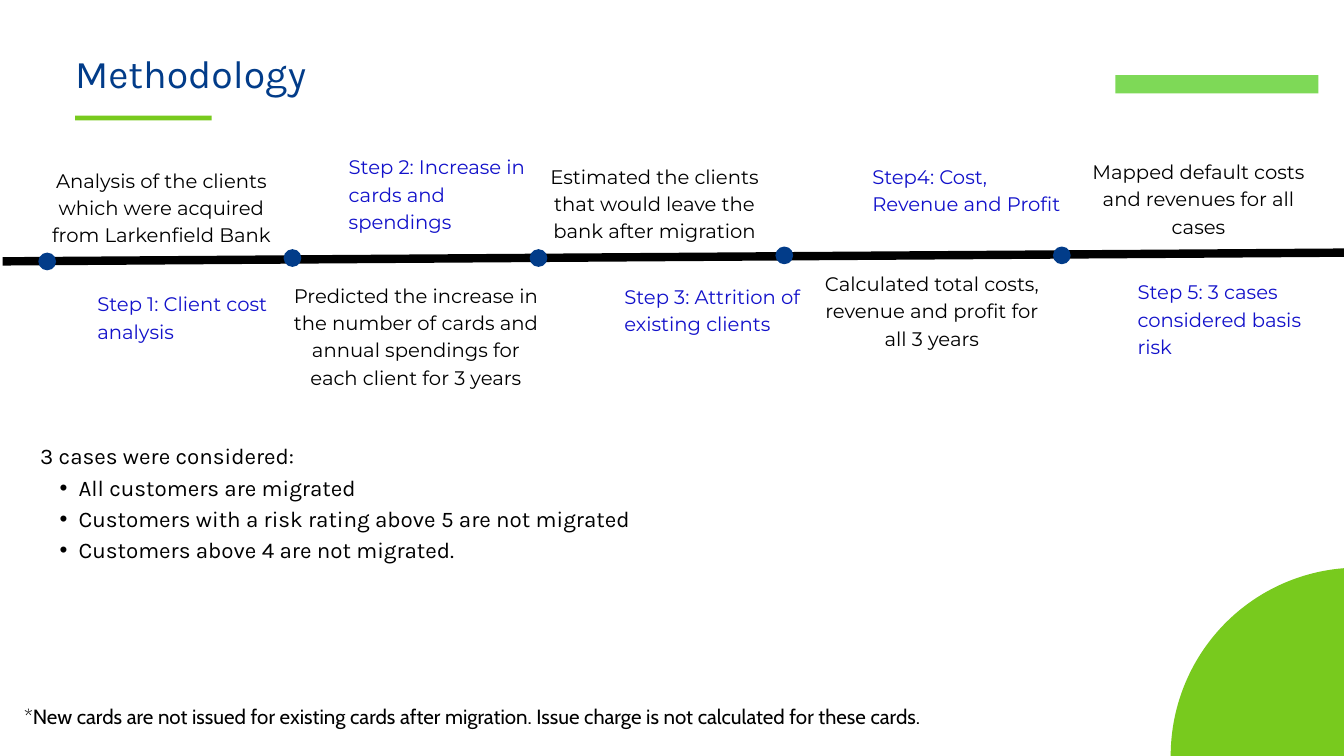
from dataclasses import dataclass

from lxml.etree import SubElement
from pptx import Presentation
from pptx.dml.color import RGBColor as RGB
from pptx.enum.shapes import MSO_CONNECTOR as Connector, MSO_SHAPE as Preset
from pptx.enum.text import MSO_ANCHOR as Anchor, MSO_AUTO_SIZE as AutoSize, PP_ALIGN as Align
from pptx.oxml.ns import qn
from pptx.util import Cm, Pt


@dataclass(frozen=True)
class Theme:
    navy: RGB = RGB(0x02, 0x3C, 0x89)
    blue: RGB = RGB(0x12, 0x11, 0xCA)
    green: RGB = RGB(0x78, 0xCA, 0x1E)
    light_green: RGB = RGB(0x7E, 0xD9, 0x57)
    black: RGB = RGB(0, 0, 0)
    title_size: float = 42
    case_size: float = 24
    note_size: float = 22
    step_size: float = 21


theme = Theme()


def write(shape, *lines, font, size, leading, color=theme.black, align=Align.LEFT, bullets_from=None):
    """Fill a shape with paragraphs, bulleted from index bullets_from on."""
    frame = shape.text_frame
    frame.word_wrap = True
    frame.auto_size = AutoSize.NONE
    frame.vertical_anchor = Anchor.TOP
    frame.margin_left = frame.margin_right = frame.margin_top = frame.margin_bottom = 0
    for index, line in enumerate(lines):
        paragraph = frame.paragraphs[0] if index == 0 else frame.add_paragraph()
        paragraph.alignment = align
        paragraph.line_spacing = Pt(leading)
        paragraph.space_before = Pt(0)
        if bullets_from is not None:
            bulleted = index >= bullets_from
            properties = paragraph._p.get_or_add_pPr()
            properties.set("marL", str(Cm(1.45) if bulleted else 0))
            properties.set("indent", str(Cm(-0.72) if bulleted else 0))
            if bulleted:
                SubElement(properties, qn("a:buChar")).set("char", "•")
            else:
                SubElement(properties, qn("a:buNone"))
        run = paragraph.add_run()
        run.text = line
        run.font.name = font
        run.font.size = Pt(size)
        run.font.color.rgb = color


def add_plain(preset, left, top, width, height, color):
    """Add a filled shape without outline or shadow, measured in centimetres."""
    shape = slide.shapes.add_shape(preset, Cm(left), Cm(top), Cm(width), Cm(height))
    shape.shadow.inherit = False
    shape.fill.solid()
    shape.fill.fore_color.rgb = color
    shape.line.fill.background()


deck = Presentation()
deck.slide_width, deck.slide_height = Cm(50.8), Cm(28.58)
slide = deck.slides.add_slide(deck.slide_layouts[1])

# Title and decoration
title = slide.shapes.title
title.left, title.top, title.width, title.height = Cm(2.84), Cm(2.26), Cm(18.97), Cm(1.47)
write(title, "Methodology", font="Karla", size=theme.title_size, leading=39.5, color=theme.navy)
add_plain(Preset.RECTANGLE, 2.84, 4.37, 5.16, 0.18, theme.green)
add_plain(Preset.RECTANGLE, 42.16, 2.84, 7.67, 0.69, theme.light_green)
add_plain(Preset.OVAL, 44.25, 21.46, 14.2, 14.23, theme.green)

# Cases
cases = slide.placeholders[1]
cases.left, cases.top, cases.width, cases.height = Cm(1.52), Cm(16.56), Cm(42), Cm(4.6)
write(
    cases,
    "3 cases were considered:",
    "All customers are migrated",
    "Customers with a risk rating above 5 are not migrated",
    "Customers above 4 are not migrated.",
    font="Karla", size=theme.case_size, leading=33.6, bullets_from=1,
)

# Footnote
footnote = slide.shapes.add_textbox(Cm(0.91), Cm(26.47), Cm(42), Cm(1.04))
write(
    footnote,
    "*New cards are not issued for existing cards after migration. "
    "Issue charge is not calculated for these cards.",
    font="Cabin", size=theme.note_size, leading=30.8,
)

# Timeline
timeline = slide.shapes.add_connector(Connector.STRAIGHT, Cm(0.1), Cm(9.88), Cm(50.9), Cm(9.55))
timeline.line.color.rgb = theme.black
timeline.line.width = Pt(9)
SubElement(timeline._element.spPr, qn("a:effectLst"))

# Each step: dot (left, top), label (left, top, text), detail (left, top, width, text)
steps = [
    ((1.45, 9.55), (3.68, 10.9, "Step 1: Client cost analysis"),
     (1.45, 6.22, 9.3, "Analysis of the clients which were acquired from Larkenfield Bank")),
    ((10.72, 9.42), (13.18, 5.72, "Step 2: Increase in cards and spendings"),
     (11.07, 10.57, 9.3, "Predicted the increase in the number of cards and annual spendings "
      "for each client for 3 years")),
    ((20.02, 9.42), (23.6, 10.62, "Step 3: Attrition of existing clients"),
     (20.09, 6.07, 9.3, "Estimated the clients that would leave the bank after migration")),
    ((29.31, 9.32), (32.97, 6.07, "Step4: Cost, Revenue and Profit"),
     (31.17, 10.13, 8.1, "Calculated total costs, revenue and profit for all 3 years")),
    ((39.8, 9.32), (43, 10.44, "Step 5: 3 cases considered basis risk"),
     (41.25, 5.89, 8.1, "Mapped default costs and revenues for all cases")),
]
step_format = {"font": "Montserrat", "size": theme.step_size, "leading": 29.4}
for dot, (label_left, label_top, name), (detail_left, detail_top, detail_width, action) in steps:
    add_plain(Preset.OVAL, *dot, 0.67, 0.67, theme.navy)
    label = slide.shapes.add_textbox(Cm(label_left), Cm(label_top), Cm(7.16), Cm(3.02))
    write(label, name, color=theme.blue, **step_format)
    detail = slide.shapes.add_textbox(Cm(detail_left), Cm(detail_top), Cm(detail_width), Cm(3.02))
    write(detail, action, align=Align.CENTER, **step_format)

deck.save("out.pptx")
